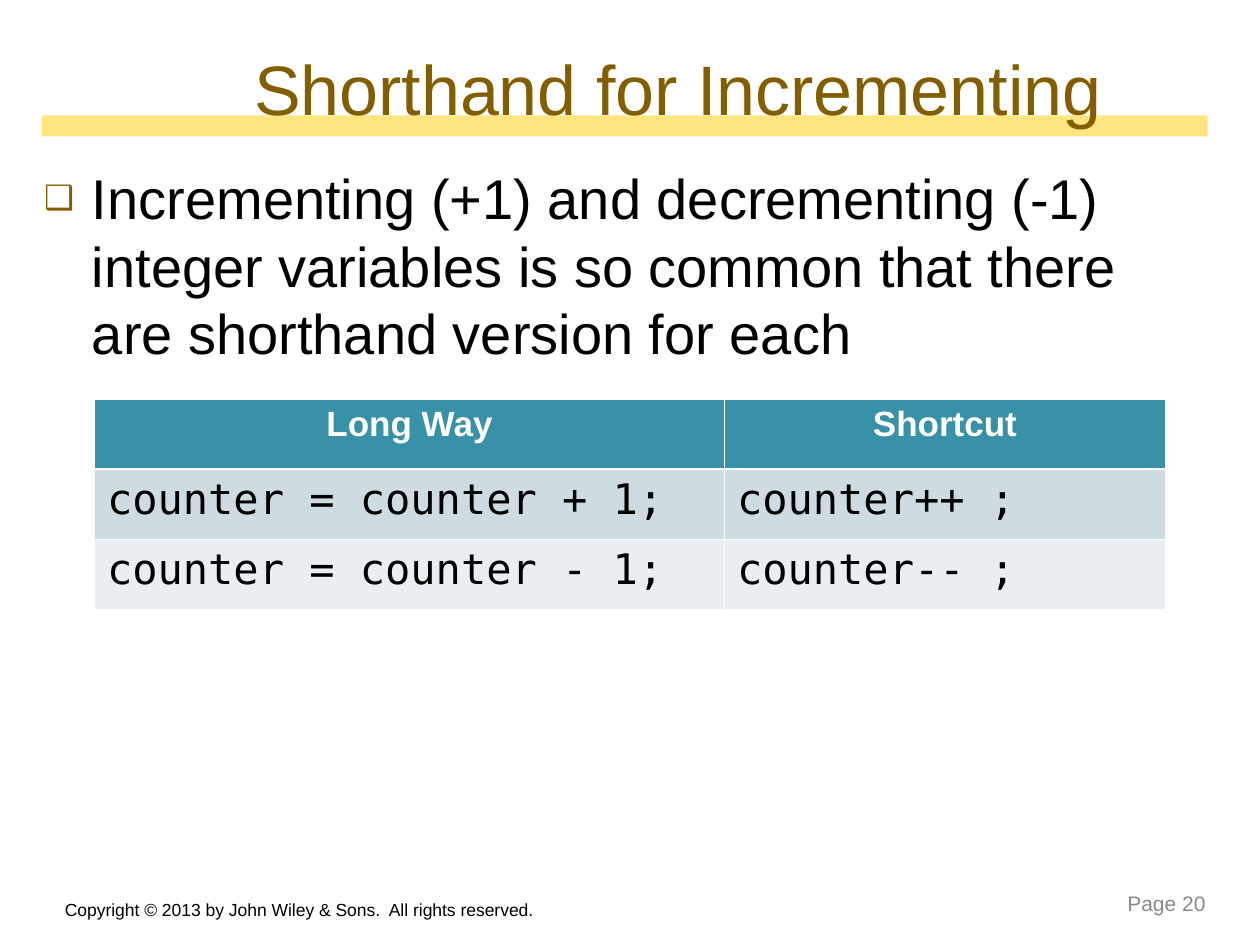
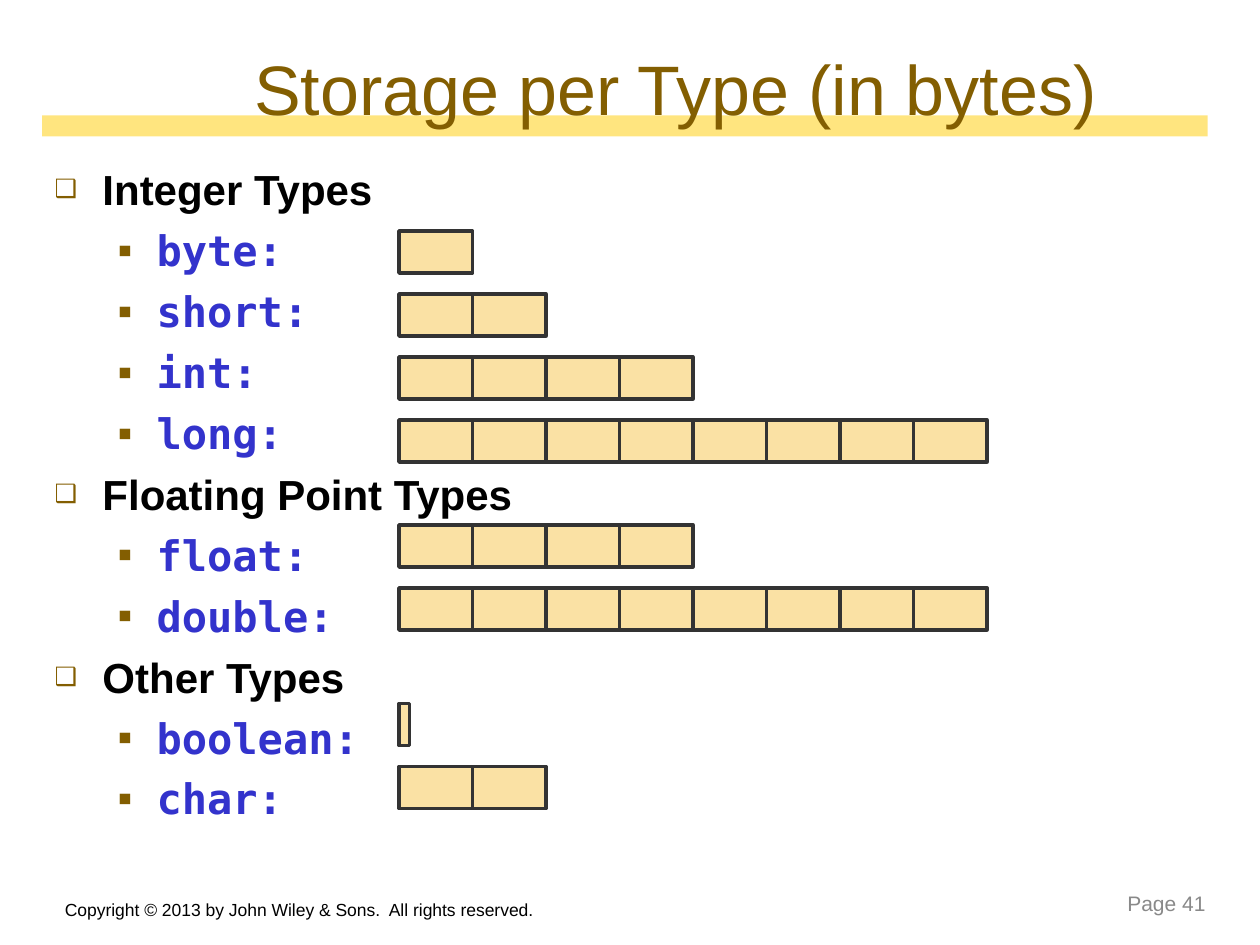
from lxml.etree import SubElement
from pptx import Presentation
from pptx.dml.color import RGBColor
from pptx.enum.shapes import MSO_SHAPE
from pptx.enum.text import MSO_ANCHOR, MSO_AUTO_SIZE, PP_ALIGN
from pptx.oxml.ns import qn
from pptx.util import Inches, Pt

COLORS = {
    "brown": "835E01", "gold": "FFCC00", "sand": "FAE1A4", "edge": "333333",
    "black": "000000", "white": "FFFFFF", "gray": "898989", "code": "3333CC",
    "teal": "3891A7", "mist": "CEDCE1", "pale": "E8EEF1",
}
SANS, MONO = "Arial", "DejaVu Sans Mono"

# Text formats
TITLE = {"name": SANS, "size": Pt(40), "bold": False, "color": "brown"}
BODY = {"name": SANS, "size": Pt(32), "bold": False, "color": "black"}
HEAD = {"name": SANS, "size": Pt(24), "bold": True, "color": "black"}
TYPE = {"name": MONO, "size": Pt(24), "bold": True, "color": "code"}
LABEL = {"name": SANS, "size": Pt(20), "bold": True, "color": "white"}
CODE = {"name": MONO, "size": Pt(24), "bold": False, "color": "black"}
NOTE = {"name": SANS, "size": Pt(10), "bold": False, "color": "black"}
PAGE = {"name": SANS, "size": Pt(12), "bold": False, "color": "gray"}

# Bullets by level: sign, size in percent, left margin, hanging indent
BULLETS = [("❑", 60, 0.38, 0.38), ("▪", 100, 0.81, 0.31)]
LEADING = 1.2

# Grid: 120 columns by 90 rows
COLS, ROWS = 120, 90
WIDE, HIGH = Inches(10), Inches(7.5)


def tint(name):
    return RGBColor.from_string(COLORS[name])


def area(left, top, width, height):
    """Turn grid columns and rows into lengths."""
    return (round(left * WIDE / COLS), round(top * HIGH / ROWS),
            round(width * WIDE / COLS), round(height * HIGH / ROWS))


class Deck:
    def __init__(self):
        self.show = Presentation()
        self.show.slide_width, self.show.slide_height = WIDE, HIGH
        self.slide = None

    def start(self, title, page):
        """Add a slide with its band, title and footers."""
        self.slide = self.show.slides.add_slide(self.show.slide_layouts[1])
        self.band()
        frame = self.place(self.slide.shapes.title, (23, 3.6, 93, 9.4))
        frame.vertical_anchor = MSO_ANCHOR.MIDDLE
        self.put(frame.paragraphs[0], title, TITLE)
        self.label("Copyright © 2013 by John Wiley & Sons.  All rights reserved.",
                   (5, 83, 53, 5.2), NOTE, MSO_ANCHOR.BOTTOM)
        self.label(f"Page {page}", (95, 84, 21, 4), PAGE,
                   MSO_ANCHOR.MIDDLE, PP_ALIGN.RIGHT)

    def place(self, shape, spot):
        """Move a text shape and return its plain frame."""
        for key, value in zip(("left", "top", "width", "height"), area(*spot)):
            setattr(shape, key, value)
        frame = shape.text_frame
        frame.auto_size, frame.word_wrap = MSO_AUTO_SIZE.NONE, True
        return frame

    def put(self, para, text, style, align=PP_ALIGN.LEFT):
        """Add a run of text in a format."""
        para.alignment = align
        run = para.add_run()
        run.text = text
        for key, value in style.items():
            if key == "color":
                run.font.color.rgb = tint(value)
            else:
                setattr(run.font, key, value)

    def label(self, text, spot, style, anchor, align=PP_ALIGN.LEFT):
        box = self.slide.shapes.add_textbox(*area(*spot))
        frame = self.place(box, spot)
        frame.vertical_anchor = anchor
        self.put(frame.paragraphs[0], text, style, align)

    def bullet(self, para, level):
        sign, size, margin, hang = BULLETS[level]
        para.level = level
        props = para._p.get_or_add_pPr()
        props.set("marL", str(Inches(margin)))
        props.set("indent", str(-Inches(hang)))
        color = SubElement(props, qn("a:buClr"))
        SubElement(color, qn("a:srgbClr"), val=COLORS["brown"])
        SubElement(props, qn("a:buSzPct"), val=str(size * 1000))
        SubElement(props, qn("a:buChar"), char=sign)

    def points(self, items, spot):
        """Fill the body with (level, text, style) items."""
        frame = self.place(self.slide.placeholders[1], spot)
        for count, (level, text, style) in enumerate(items):
            para = frame.add_paragraph() if count else frame.paragraphs[0]
            self.bullet(para, level)
            para.space_before = Pt(6 if count else 0)
            para.line_spacing = Pt(style["size"].pt * LEADING)
            self.put(para, text, style)

    def shape(self, kind, spot, fill, line=None):
        item = self.slide.shapes.add_shape(kind, *area(*spot))
        item.shadow.inherit = False
        item.fill.solid()
        item.fill.fore_color.rgb = tint(fill)
        if line:
            item.line.color.rgb = tint(line)
            item.line.width = Pt(2)
        else:
            item.line.fill.background()
        return item

    def band(self):
        """Draw the half-clear stripe behind the title."""
        item = self.shape(MSO_SHAPE.PARALLELOGRAM, (4, 11, 111, 2), "gold")
        item.adjustments[0] = -0.13
        color = item._element.spPr.find(".//" + qn("a:srgbClr"))
        SubElement(color, qn("a:alpha"), val="50000")
        self.slide.shapes._spTree.insert(2, item._element)

    def border(self, cell, thick):
        """Rule a cell in white; thick names the heavy side."""
        props = cell._tc.get_or_add_tcPr()
        for side in "LRTB":
            width = Pt(1.47 if side == thick else 0.45)
            line = SubElement(props, qn(f"a:ln{side}"), w=str(width))
            fill = SubElement(line, qn("a:solidFill"))
            SubElement(fill, qn("a:srgbClr"), val=COLORS["white"])

    def table(self, data, spot, widths):
        grid = self.slide.shapes.add_table(
            len(data), len(widths), *area(*spot)).table
        for col, width in zip(grid.columns, widths):
            col.width = round(width * WIDE / COLS)
        looks = [("teal", LABEL, PP_ALIGN.CENTER, "B"),
                 ("mist", CODE, PP_ALIGN.LEFT, "T"),
                 ("pale", CODE, PP_ALIGN.LEFT, None)]
        for row, texts, look in zip(grid.rows, data, looks):
            fill, style, align, thick = look
            for cell, text in zip(row.cells, texts):
                self.border(cell, thick)
                cell.fill.solid()
                cell.fill.fore_color.rgb = tint(fill)
                self.put(cell.text_frame.paragraphs[0], text, style, align)

    def bar(self, top, count):
        """Draw a row of byte cells; a part of a byte is one thin cell."""
        unit = 7
        for cell in range(max(1, int(count))):
            spot = (38 + cell * unit, top, min(1, count) * unit, 4)
            self.shape(MSO_SHAPE.RECTANGLE, spot, "sand", "edge")


def main():
    deck = Deck()

    # Shorthand
    deck.start("Shorthand for Incrementing", 20)
    deck.points([(0, "Incrementing (+1) and decrementing (-1) integer variables "
                     "is so common that there are shorthand version for each",
                  BODY)], (3, 15, 111, 27))
    deck.table([("Long Way", "Shortcut"),
                ("counter = counter + 1;", "counter++ ;"),
                ("counter = counter - 1;", "counter-- ;")],
               (9, 38, 102, 20), (60, 42))

    # Storage: heading, first bar row, bytes per type
    groups = [
        ("Integer Types", 22, {"byte": 1, "short": 2, "int": 4, "long": 8}),
        ("Floating Point Types", 50, {"float": 4, "double": 8}),
        ("Other Types", 67, {"boolean": 1 / 7, "char": 2}),
    ]
    deck.start("Storage per Type (in bytes)", 41)
    items = []
    for head, top, types in groups:
        items.append((0, head, HEAD))
        for step, (name, count) in enumerate(types.items()):
            items.append((1, f"{name}:", TYPE))
            deck.bar(top + 6 * step, count)
    deck.points(items, (4, 15, 108, 63.5))

    deck.show.save("out.pptx")


if __name__ == "__main__":
    main()
